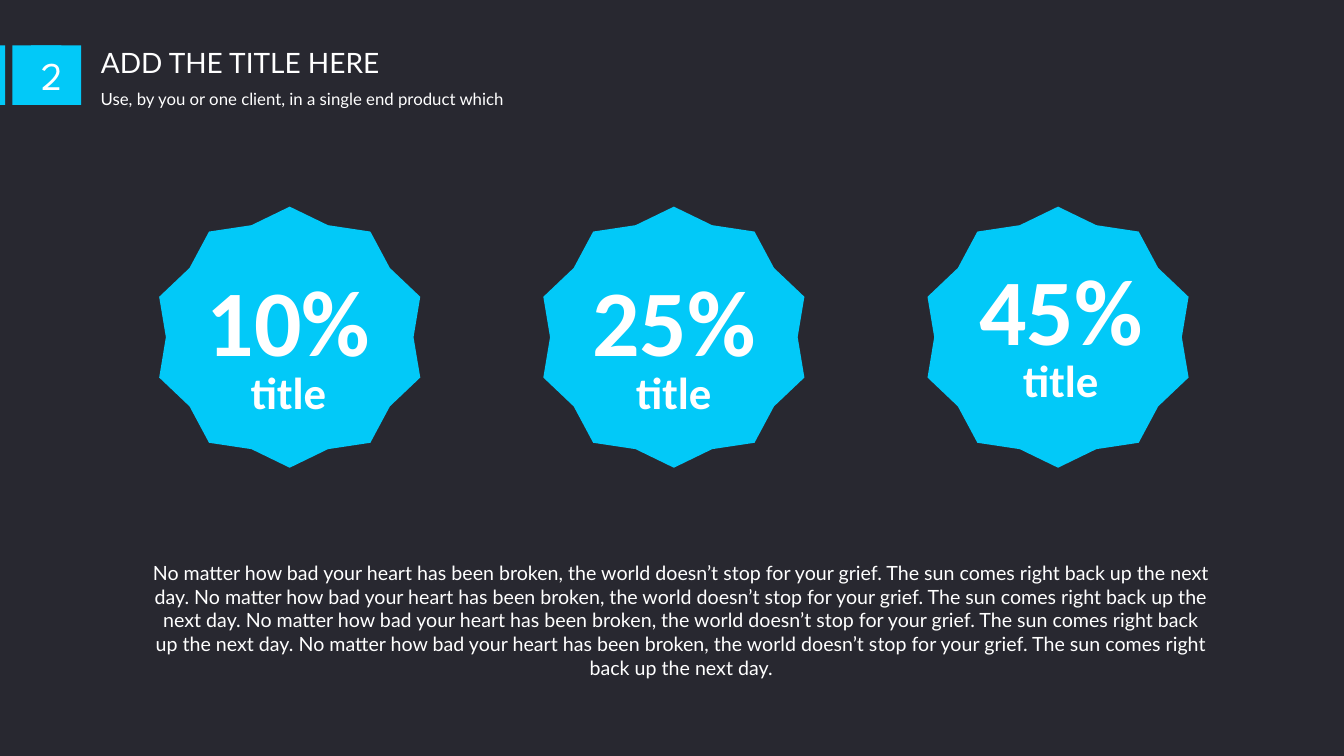
"""Build a dark slide with three percentage badges."""
from pptx import Presentation
from pptx.dml.color import RGBColor
from pptx.enum import shapes, text
from pptx.util import Pt

DARK = RGBColor(0x28, 0x28, 0x30)
CYAN = RGBColor(0x02, 0xC9, 0xF8)
WHITE = RGBColor(0xFF, 0xFF, 0xFF)
KIND = shapes.MSO_SHAPE
LEFT, MID = text.PP_ALIGN.LEFT, text.PP_ALIGN.CENTER

deck = Presentation()
deck.slide_width, deck.slide_height = Pt(960), Pt(540)
slide = deck.slides.add_slide(deck.slide_layouts[5])
slide.background.fill.solid()
slide.background.fill.fore_color.rgb = DARK


def draw(kind, x, y, w, h):
    shape = slide.shapes.add_shape(kind, Pt(x), Pt(y), Pt(w), Pt(h))
    shape.shadow.inherit = False
    shape.fill.solid()
    shape.fill.fore_color.rgb = CYAN
    shape.line.fill.background()
    return shape


def write(shape, words, size, name="Lato", align=LEFT, bold=False,
          anchor=text.MSO_ANCHOR.TOP):
    frame = shape.text_frame
    frame.text = words
    frame.word_wrap = True
    frame.auto_size = text.MSO_AUTO_SIZE.NONE
    frame.vertical_anchor = anchor
    para = frame.paragraphs[0]
    para.alignment = align
    font = para.font
    font.size, font.name, font.bold = Pt(size), name, bold
    font.color.rgb = WHITE


title = slide.shapes.title
title.left, title.top, title.width, title.height = Pt(64.8), Pt(28.8), Pt(285), Pt(31.7)
write(title, "ADD THE TITLE HERE", 20)
lead = slide.shapes.add_textbox(Pt(64.8), Pt(59.8), Pt(480), Pt(21.6))
write(lead, "Use, by you or one client, in a single end product which", 12)

for x, w in [(0, 3.6), (8.9, 49)]:
    draw(KIND.RECTANGLE, x, 32.4, w, 42.5)
page = draw(KIND.RECTANGLE, 22.3, 32.4, 21.6, 42.5)
write(page, "2", 28, "League Spartan", MID, anchor=text.MSO_ANCHOR.MIDDLE)

badges = [("10%", 206.2, 184.3), ("25%", 481.3, 184.3), ("45%", 757.8, 176.2)]
for i, (share, center, top) in enumerate(badges):
    star = draw(KIND.STAR_10_POINT, 113.7 + 274.4 * i, 147.6, 186.5, 186.5)
    star.adjustments[0] = 0.451
    for words, size, y, h in [(share, 67, top, 88.6), ("title", 32, top + 72.4, 46)]:
        box = slide.shapes.add_textbox(Pt(center - 68.8), Pt(y), Pt(137.6), Pt(h))
        write(box, words, size, "Calibri", MID, True)

line = ("No matter how bad your heart has been broken, the world doesn’t stop "
        "for your grief. The sun comes right back up the next day.")
body = slide.shapes.add_textbox(Pt(100), Pt(397.4), Pt(773.3), Pt(142))
write(body, " ".join([line] * 4), 14, align=MID)

deck.save("out.pptx")
